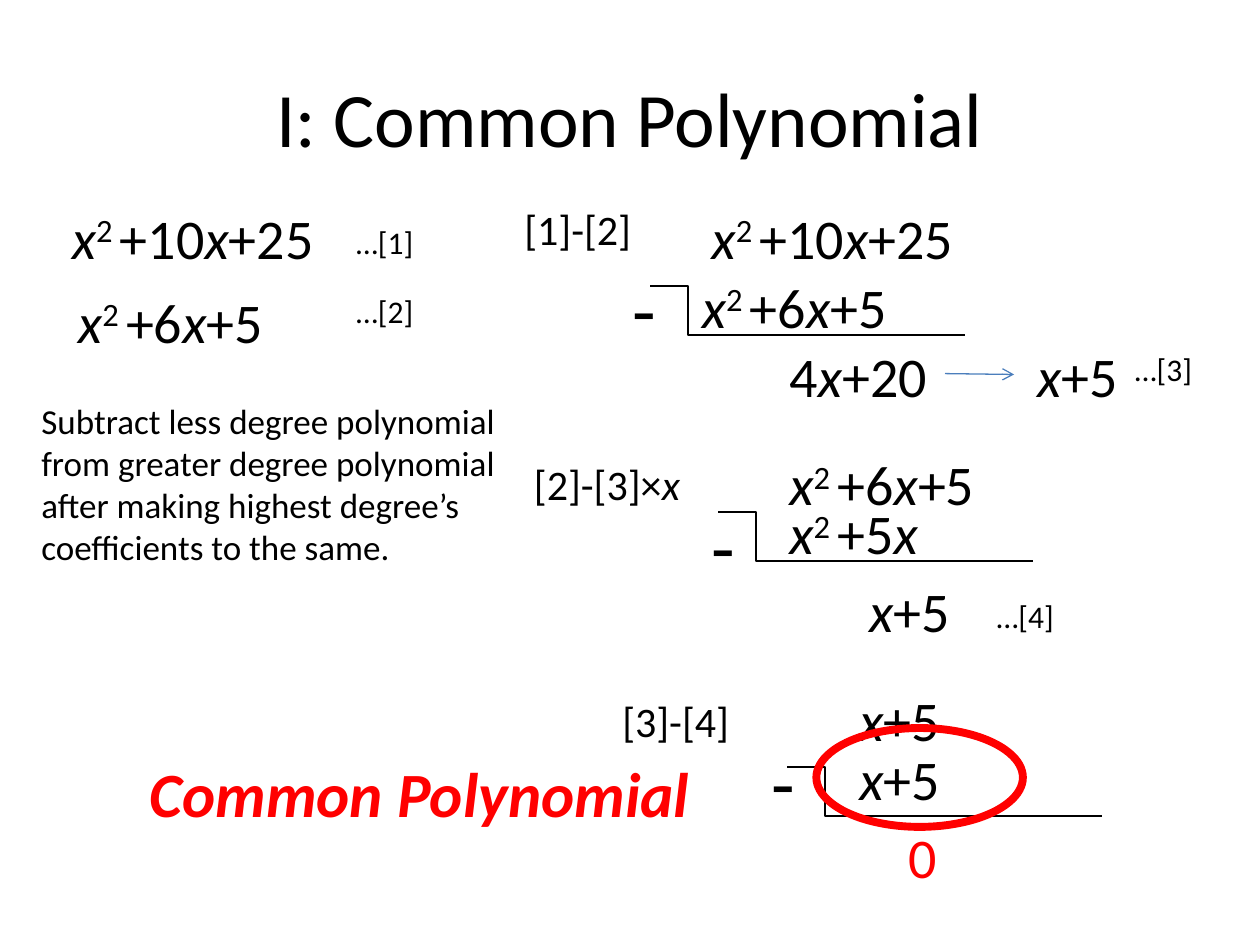
from lxml import etree
from pptx import Presentation
from pptx.dml.color import RGBColor
from pptx.enum import shapes, text
from pptx.oxml.ns import qn
from pptx.util import Pt

BLACK = RGBColor(0, 0, 0)
RED = RGBColor(255, 0, 0)
BLUE = RGBColor(0x4B, 0x7E, 0xBC)
FONT = "Calibri"

# Bars separate the runs: "x" is set italic, "2 " is set as an exponent.
GREATER = "x|2 |+10|x|+25"
LESSER = "x|2 |+6|x|+5"
FACTOR = "x|+5"

# left, top, width, expression, colour
EXPRESSIONS = [
    (34, 112.5, 166, GREATER, BLACK),
    (37.5, 160.5, 166, LESSER, BLACK),
    (399.5, 112.5, 166, GREATER, BLACK),
    (394, 152, 166, LESSER, BLACK),
    (444, 191.5, 112.5, "4|x|+20", BLACK),
    (585.5, 191.5, 112.5, FACTOR, BLACK),
    (444, 253.5, 166, LESSER, BLACK),
    (444, 281.5, 166, "x|2 |+5|x", BLACK),
    (489.5, 326, 112.5, FACTOR, BLACK),
    (484, 388, 112.5, FACTOR, BLACK),
    (484, 422, 112.5, FACTOR, BLACK),
    (512, 466.5, 62, "0", RED),
]
EXPRESSION_SIZE, EXPRESSION_HEIGHT = 32, 54

# left, top, width, height, size, text
LABELS = [
    (196.5, 124, 56, 29, 18, "…[1]"),
    (196.5, 163.5, 56, 29, 18, "…[2]"),
    (641.5, 196.5, 56, 29, 18, "…[3]"),
    (562.5, 337.5, 56, 29, 18, "…[4]"),
    (292.5, 112.5, 84, 36, 24, "[1]-[2]"),
    (298, 258.5, 112.5, 36, 24, "[2]-[3]×|x"),
    (348.5, 394, 78.5, 36, 24, "[3]-[4]"),
    (354.5, 146, 34, 60.5, 44, "-"),
    (399.5, 281.5, 34, 60.5, 44, "-"),
    (433.5, 416, 34, 60.5, 44, "-"),
    (16.5, 224.5, 281.5, 104.5, 20,
     "Subtract less degree polynomial from greater degree polynomial\n"
     "after making highest degree’s coefficients to the same."),
]

RULES = [(371.5, 163.5), (410.5, 292.5), (450, 438.5)]  # left, top
RULE_WIDTH, RULE_HEIGHT, RULE_STEP = 180, 28, 21.6


def add_text(slide, left, top, width, height, size, content, color=BLACK):
    box = slide.shapes.add_textbox(Pt(left), Pt(top), Pt(width), Pt(height))
    frame = box.text_frame
    frame.word_wrap = True
    for index, line in enumerate(content.split("\n")):
        para = frame.add_paragraph() if index else frame.paragraphs[0]
        for part in line.split("|"):
            span = para.add_run()
            span.text = part
            span.font.name = FONT
            span.font.size = Pt(size)
            span.font.color.rgb = color
            if part == "x":
                span.font.italic = True
            elif part == "2 ":
                span.font._element.set("baseline", "30000")
    return frame


def space_before(para, percent):
    spacing = etree.SubElement(para._p.get_or_add_pPr(), qn("a:spcBef"))
    etree.SubElement(spacing, qn("a:spcPct")).set("val", str(percent * 1000))


def add_line(slide, kind, start, end, color, weight):
    line = slide.shapes.add_connector(kind, *(Pt(v) for v in (*start, *end)))
    line.line.color.rgb = color
    line.line.width = Pt(weight)
    etree.SubElement(line._element.spPr, qn("a:effectLst"))
    return line


def add_rule(slide, left, top):
    """Draw the stepped line under a subtraction."""
    rule = add_line(slide, shapes.MSO_CONNECTOR.ELBOW, (left, top),
                    (left + RULE_WIDTH, top + RULE_HEIGHT), BLACK, 1)
    guides = rule._element.spPr.find(qn("a:prstGeom")).find(qn("a:avLst"))
    guide = etree.SubElement(guides, qn("a:gd"))
    guide.set("name", "adj1")
    guide.set("fmla", f"val {round(100000 * RULE_STEP / RULE_WIDTH)}")


def main():
    deck = Presentation()
    deck.slide_width, deck.slide_height = Pt(720), Pt(540)
    slide = deck.slides.add_slide(deck.slide_layouts[6])

    title = add_text(slide, 36, 21.6, 648, 90, 44, "I: Common Polynomial")
    title.vertical_anchor = text.MSO_ANCHOR.MIDDLE
    title.paragraphs[0].alignment = text.PP_ALIGN.CENTER

    for left, top, width, expression, color in EXPRESSIONS:
        frame = add_text(slide, left, top, width, EXPRESSION_HEIGHT,
                         EXPRESSION_SIZE, expression, color)
        space_before(frame.paragraphs[0], 20)
    for label in LABELS:
        add_text(slide, *label)
    for left, top in RULES:
        add_rule(slide, left, top)

    arrow = add_line(slide, shapes.MSO_CONNECTOR.STRAIGHT,
                     (540, 213.5), (579.5, 214), BLUE, 0.75)
    etree.SubElement(arrow.line._get_or_add_ln(), qn("a:tailEnd")).set("type", "arrow")

    ring = slide.shapes.add_shape(shapes.MSO_SHAPE.OVAL,
                                  Pt(466.5), Pt(416), Pt(118), Pt(56.5))
    ring.shadow.inherit = False
    ring.fill.background()
    ring.line.color.rgb = RED
    ring.line.width = Pt(4.5)

    answer = add_text(slide, 78.5, 427.5, 332, 51, 36, "Common Polynomial", RED)
    answer.paragraphs[0].runs[0].font.bold = True
    answer.paragraphs[0].runs[0].font.italic = True

    deck.save("out.pptx")


if __name__ == "__main__":
    main()
